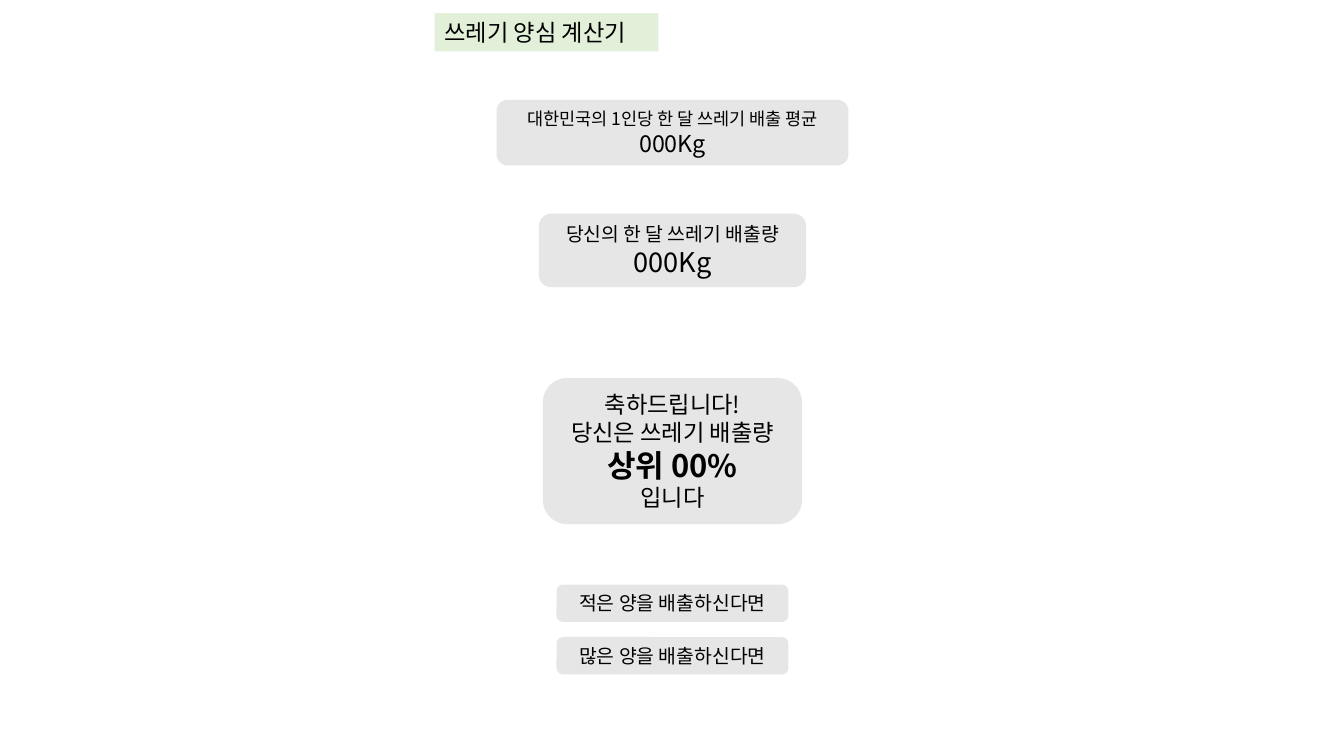
from dataclasses import dataclass

from lxml import etree
from pptx import Presentation
from pptx.dml.color import RGBColor
from pptx.enum.shapes import MSO_SHAPE
from pptx.enum.text import MSO_ANCHOR, MSO_AUTO_SIZE, PP_ALIGN
from pptx.oxml.ns import qn
from pptx.util import Inches, Pt

ROUNDED = MSO_SHAPE.ROUNDED_RECTANGLE
MIDDLE = MSO_ANCHOR.MIDDLE
FIXED = MSO_AUTO_SIZE.NONE
LEFT, CENTER = PP_ALIGN.LEFT, PP_ALIGN.CENTER


@dataclass(frozen=True)
class Theme:
    font: str = "Noto Sans CJK KR"
    ink: RGBColor = RGBColor(0, 0, 0)
    green: RGBColor = RGBColor(0xE2, 0xF0, 0xD9)
    grey: RGBColor = RGBColor(0xE7, 0xE6, 0xE6)
    small: float = 12.5
    label: float = 13.8
    body: float = 16.6
    figure: float = 19.4
    rank: float = 22.1


theme = Theme()


def write_line(para, text, size=theme.body, bold=False, align=CENTER):
    """Write one formatted line of text into a paragraph."""
    para.alignment = align
    span = para.add_run()
    span.text = text
    span.font.size = Pt(size)
    span.font.bold = bold
    span.font.color.rgb = theme.ink
    span.font.name = theme.font
    east_asian = etree.SubElement(span.font._element, qn("a:ea"))
    east_asian.set("typeface", theme.font)


def prepare_box(box, fill):
    """Fill a box and return its text frame, fixed in size and centred vertically."""
    box.fill.solid()
    box.fill.fore_color.rgb = fill
    box.line.fill.background()
    frame = box.text_frame
    frame.auto_size = FIXED
    frame.word_wrap = True
    frame.vertical_anchor = MIDDLE
    frame.margin_left = frame.margin_right = Inches(0.1)
    frame.margin_top = frame.margin_bottom = Inches(0.05)
    return frame


deck = Presentation()
deck.slide_width, deck.slide_height = Inches(13.33), Inches(7.5)
page = deck.slides.add_slide(deck.slide_layouts[5])

# Title
title = page.shapes.title
title.left, title.top = Inches(4.31), Inches(0.13)
title.width, title.height = Inches(2.22), Inches(0.38)
title_frame = prepare_box(title, theme.green)
write_line(title_frame.paragraphs[0], "쓰레기 양심 계산기", align=LEFT)

# Cards: top, width, height and lines of (text, size, bold)
cards = [
    (0.99, 3.49, 0.65, [("대한민국의 1인당 한 달 쓰레기 배출 평균", theme.small, False),
                        ("000Kg", theme.body, False)]),
    (2.12, 2.65, 0.73, [("당신의 한 달 쓰레기 배출량", theme.label, False),
                        ("000Kg", theme.figure, False)]),
    (3.75, 2.57, 1.45, [("축하드립니다!", theme.body, False),
                        ("당신은 쓰레기 배출량", theme.body, False),
                        ("상위 00%", theme.rank, True),
                        ("입니다", theme.body, False)]),
    (5.8, 2.3, 0.37, [("적은 양을 배출하신다면", theme.label, False)]),
    (6.32, 2.3, 0.37, [("많은 양을 배출하신다면", theme.label, False)]),
]

# All cards share one vertical axis
axis = 6.67
for top, width, height, lines in cards:
    card = page.shapes.add_shape(ROUNDED, Inches(axis - width / 2), Inches(top),
                                 Inches(width), Inches(height))
    card.shadow.inherit = False
    frame = prepare_box(card, theme.grey)
    for index, (text, size, bold) in enumerate(lines):
        para = frame.add_paragraph() if index else frame.paragraphs[0]
        write_line(para, text, size=size, bold=bold)

deck.save("out.pptx")
